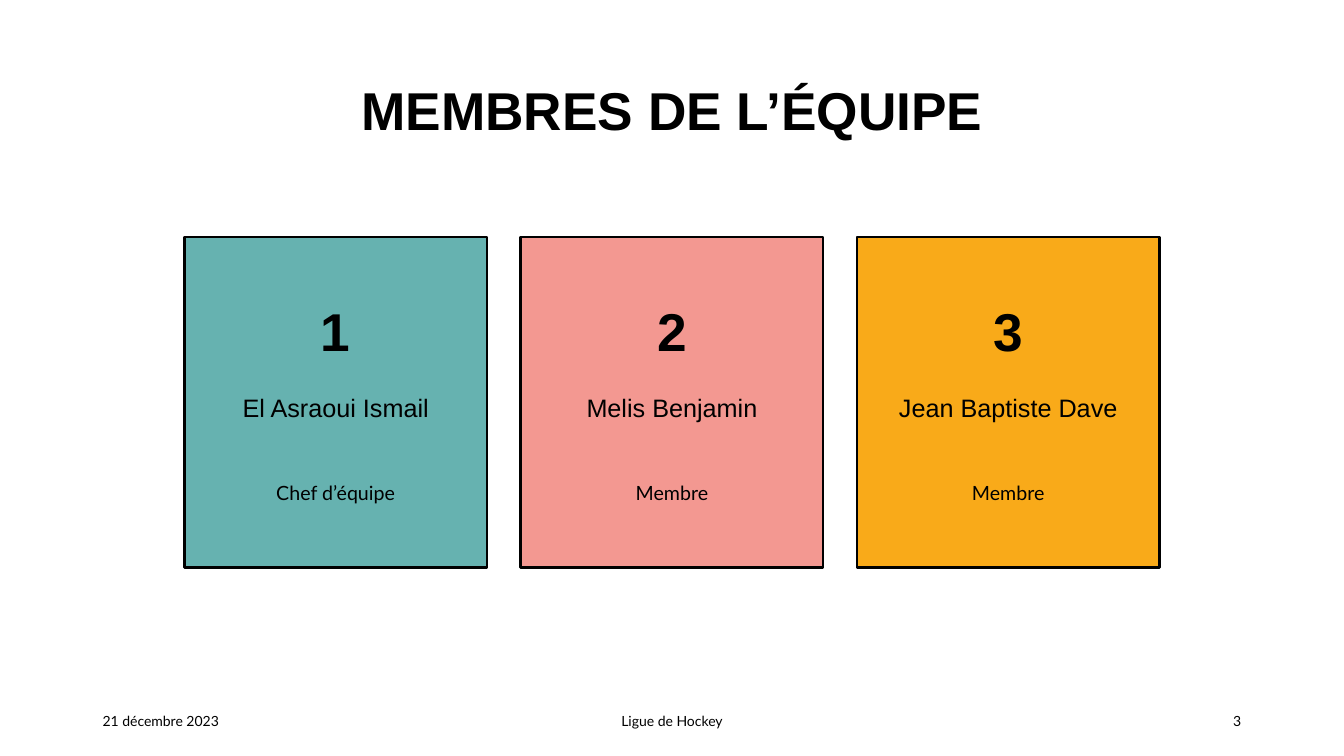
from pptx import Presentation
from pptx.dml.color import RGBColor
from pptx.enum.shapes import MSO_SHAPE
from pptx.enum.text import MSO_ANCHOR, PP_ALIGN
from pptx.util import Inches, Pt

RECT = MSO_SHAPE.RECTANGLE
TOP, MIDDLE = MSO_ANCHOR.TOP, MSO_ANCHOR.MIDDLE
LEFT, CENTER, RIGHT = PP_ALIGN.LEFT, PP_ALIGN.CENTER, PP_ALIGN.RIGHT

SLIDE_W, SLIDE_H = 13.33, 7.5
MARGIN = 0.92
CARD_W, CARD_H, CARD_TOP = 3, 3.28, 2.35
CARD_PITCH = 3.335
LABEL_W = 2.5
FOOTER_TOP, FOOTER_H = 6.95, 0.4

MEMBERS = [
    ("El Asraoui Ismail", "Chef d’équipe", "66B2B0"),
    ("Melis Benjamin", "Membre", "F39891"),
    ("Jean Baptiste Dave", "Membre", "F9AA19"),
]


def color(hex_code):
    return RGBColor.from_string(hex_code)


def write(shape, text, size=18, font="Arial", bold=False, align=CENTER,
          anchor=TOP, spacing=1.0):
    tf = shape.text_frame
    tf.word_wrap = True
    tf.vertical_anchor = anchor
    p = tf.paragraphs[0]
    p.alignment = align
    p.line_spacing = spacing
    r = p.add_run()
    r.text = text
    r.font.name = font
    r.font.size = Pt(size)
    r.font.bold = bold
    r.font.color.rgb = color("000000")


def add_title(s, text):
    title = s.shapes.title
    title.left, title.top = Inches(MARGIN), Inches(0.4)
    title.width, title.height = Inches(SLIDE_W - 2 * MARGIN), Inches(1.45)
    write(title, text, size=38, bold=True, anchor=MIDDLE, spacing=0.9)


def add_label(s, x, y, w, h, text, **fmt):
    box = s.shapes.add_textbox(Inches(x), Inches(y), Inches(w), Inches(h))
    write(box, text, **fmt)


def add_card(s, x, number, name, role, fill):
    card = s.shapes.add_shape(RECT, Inches(x), Inches(CARD_TOP),
                              Inches(CARD_W), Inches(CARD_H))
    card.shadow.inherit = False
    card.fill.solid()
    card.fill.fore_color.rgb = color(fill)
    card.line.color.rgb = color("000000")
    card.line.width = Pt(1.75)
    card.text_frame.margin_top = Inches(0.68)
    write(card, str(number), size=38, bold=True, spacing=0.9)

    label_x = x + (CARD_W - LABEL_W) / 2
    add_label(s, label_x, CARD_TOP + 1.49, LABEL_W, 0.8, name)
    add_label(s, label_x, CARD_TOP + 2.33, LABEL_W, 0.7, role,
              size=14, font="Lato", spacing=Pt(20))


def add_footer(s, date, name, number):
    side_w, mid_w = 3, 4.5
    parts = [
        (MARGIN, side_w, date, LEFT),
        ((SLIDE_W - mid_w) / 2, mid_w, name, CENTER),
        (SLIDE_W - MARGIN - side_w, side_w, number, RIGHT),
    ]
    for x, w, text, align in parts:
        add_label(s, x, FOOTER_TOP, w, FOOTER_H, text, size=10, font="Lato",
                  align=align, anchor=MIDDLE)


def main():
    prs = Presentation()
    prs.slide_width, prs.slide_height = Inches(SLIDE_W), Inches(SLIDE_H)
    s = prs.slides.add_slide(prs.slide_layouts[5])

    add_title(s, "MEMBRES DE L’ÉQUIPE")
    row_w = CARD_W + (len(MEMBERS) - 1) * CARD_PITCH
    first_x = (SLIDE_W - row_w) / 2
    for i, (name, role, fill) in enumerate(MEMBERS):
        add_card(s, first_x + i * CARD_PITCH, i + 1, name, role, fill)
    add_footer(s, "21 décembre 2023", "Ligue de Hockey", "3")

    prs.save("out.pptx")


if __name__ == "__main__":
    main()
